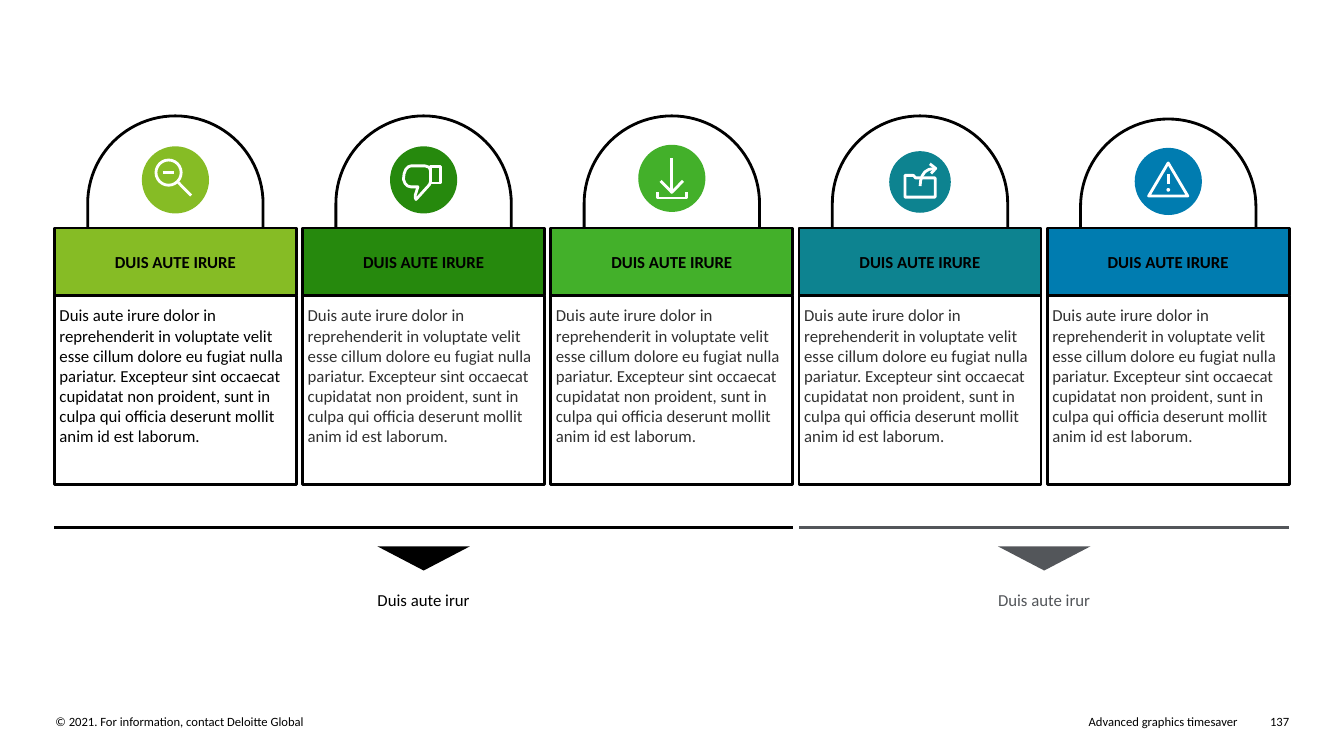
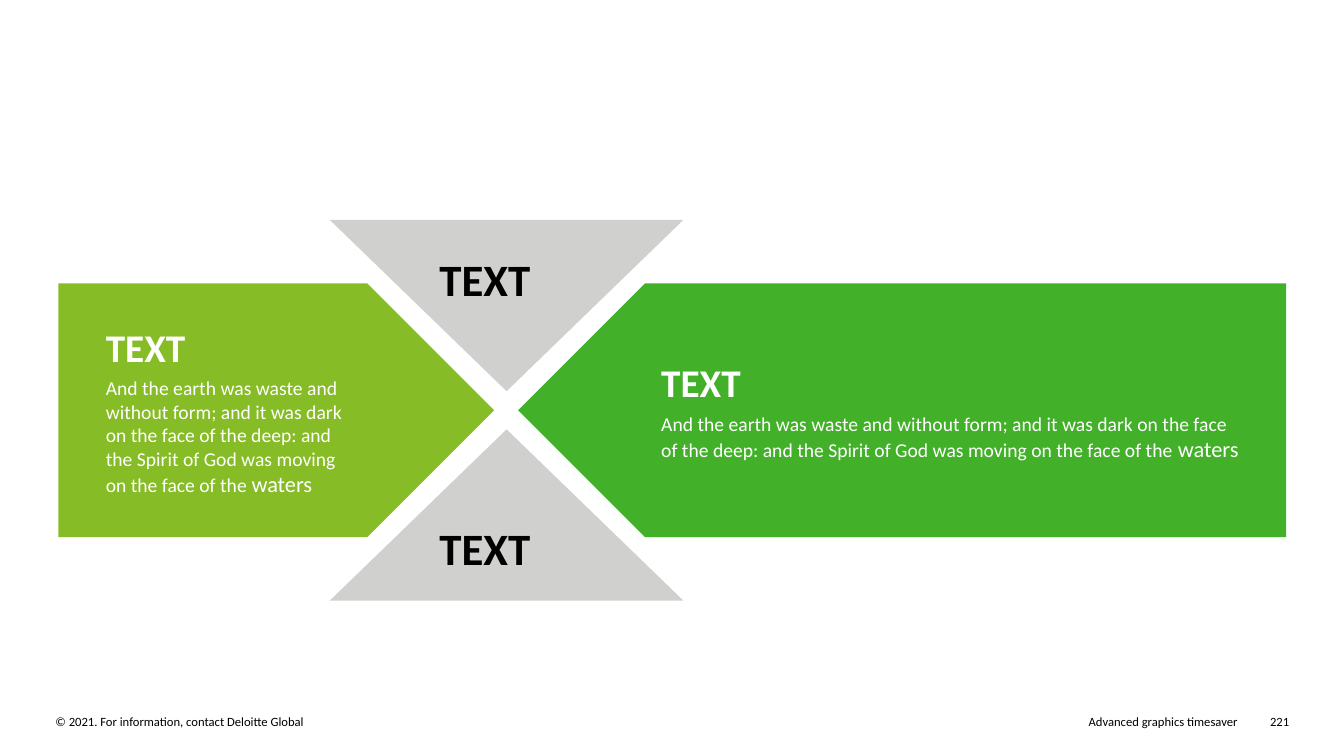
from lxml import etree
from pptx import Presentation
from pptx.dml.color import RGBColor
from pptx.enum.shapes import MSO_CONNECTOR, MSO_SHAPE
from pptx.enum.text import MSO_ANCHOR, PP_ALIGN
from pptx.oxml.ns import qn
from pptx.util import Pt

RECT = MSO_SHAPE.RECTANGLE
ROUND = MSO_SHAPE.ROUNDED_RECTANGLE
OVAL = MSO_SHAPE.OVAL
WEDGE = MSO_SHAPE.ISOSCELES_TRIANGLE
PLATE = MSO_SHAPE.PENTAGON
LINE = MSO_CONNECTOR.STRAIGHT
LEFT, MID, RIGHT = PP_ALIGN.LEFT, PP_ALIGN.CENTER, PP_ALIGN.RIGHT
TOP, HALF = MSO_ANCHOR.TOP, MSO_ANCHOR.MIDDLE

HUES = {
    "black": "000000", "white": "FFFFFF", "ink": "313131", "slate": "53565A",
    "ash": "D0D0CE", "lime": "86BC25", "moss": "26890D", "green": "43B02A",
    "teal": "0D8390", "blue": "007CB0",
}
FACE = "Calibri"
STROKE = 2
WIDE, HIGH = 960, 540

HEAD = "DUIS AUTE IRURE"
BODY = ("Duis aute irure dolor in reprehenderit in voluptate velit esse cillum "
        "dolore eu fugiat nulla pariatur. Excepteur sint occaecat cupidatat non "
        "proident, sunt in culpa qui officia deserunt mollit anim id est laborum.")
NOTE = "Duis aute irur"
VERSE = ("And the earth was waste and without form; and it was dark on the face of "
         "the deep: and the Spirit of God was moving on the face of the ")

LENS = {
    "rings": [(-4.9, -5.2, 9)],
    "paths": [[(-9, -5.2), (-0.8, -5.2)], [(2, 1.8), (11.2, 11.2)]],
}
THUMB = {
    "loops": [
        [(1, -10), (-9, -10), (-11, -9.3), (-12.7, -7.5), (-13.9, -4.5),
         (-14.4, -0.4), (-13.2, 2.6), (-11.3, 4.4), (-9, 5), (-4, 5),
         (-6, 11), (-6, 12.6), (-5.4, 14), (4.3, 3.3), (5, 1),
         (5, -6.5), (4, -9)],
        [(5, -9.4), (11.8, -9.4), (11.8, 2.2), (5, 2.2)],
    ],
}
LOAD = {
    "paths": [
        [(0, -14.4), (0, 10)],
        [(-8, 1.8), (0, 10), (8, 1.8)],
        [(-10.2, 10), (-10.2, 14), (10.2, 14), (10.2, 10)],
    ],
}
SHARE = {
    "loops": [[(-10.8, -4.7), (-4.7, -4.7), (-3.2, -2.9), (10.8, -2.9),
               (10.8, 10.8), (-10.8, 10.8)]],
    "paths": [
        [(0, 2.9), (0.4, -1), (1.5, -4.4), (3.4, -7.2), (6.3, -9), (10.8, -9.7)],
        [(7, -13), (11.2, -9.7), (7.9, -6.1)],
    ],
}
ALERT = {
    "rings": [(0, 6, 0.3)],
    "loops": [[(-14, 10.4), (0, -13.2), (14, 10.4)]],
    "paths": [[(0, -5), (0, 2.2)]],
}

CARDS = [
    {"hue": "lime", "ink": "black", "icon": LENS, "drop": 45.7, "size": 48},
    {"hue": "moss", "ink": "ink", "icon": THUMB, "drop": 45.7, "size": 48},
    {"hue": "green", "ink": "ink", "icon": LOAD, "drop": 44.6, "size": 48},
    {"hue": "teal", "ink": "ink", "icon": SHARE, "drop": 47.2, "size": 44},
    {"hue": "blue", "ink": "ink", "icon": ALERT, "drop": 46.8, "size": 48,
     "sink": 2.2},
]


def tint(name):
    return RGBColor.from_string(HUES[name])


def apply(thing, values):
    for key, value in values.items():
        setattr(thing, key, value)


def paint(shape, fill=None, line=None):
    shape.shadow.inherit = False
    if fill:
        shape.fill.solid()
        shape.fill.fore_color.rgb = tint(fill)
    else:
        shape.fill.background()
    if line:
        shape.line.color.rgb = tint(line)
        shape.line.width = Pt(STROKE)
    else:
        shape.line.fill.background()
    return shape


def draw(slide, kind, box, fill=None, line=None):
    shape = slide.shapes.add_shape(kind, *map(Pt, box))
    return paint(shape, fill, line)


def rule(slide, start, end, hue, width=STROKE):
    line = slide.shapes.add_connector(LINE, *map(Pt, (*start, *end)))
    line.line.color.rgb = tint(hue)
    line.line.width = Pt(width)
    etree.SubElement(line.element.spPr, qn("a:effectLst"))


def trace(slide, points, close):
    spots = [(Pt(x), Pt(y)) for x, y in points]
    pen = slide.shapes.build_freeform(*spots[0])
    pen.add_line_segments(spots[1:], close=close)
    paint(pen.convert_to_shape(), line="white")


def write(shape, paras, hue, pads=(0, 0, 0, 0), anchor=TOP, **style):
    frame = shape.text_frame
    sides = ("margin_left", "margin_top", "margin_right", "margin_bottom")
    apply(frame, {"word_wrap": True, "vertical_anchor": anchor,
                  **{side: Pt(pad) for side, pad in zip(sides, pads)}})
    for at, runs in enumerate(paras):
        para = frame.add_paragraph() if at else frame.paragraphs[0]
        values = {"alignment": LEFT, **style}
        if at == 0:
            values.pop("space_before", None)
        apply(para, values)
        for text, size, bold in runs:
            run = para.add_run()
            run.text = text
            apply(run.font, {"name": FACE, "size": Pt(size), "bold": bold})
            run.font.color.rgb = tint(hue)


def label(slide, box, text, size, hue="black", bold=False, pads=(0, 0, 0, 0), **style):
    shape = slide.shapes.add_textbox(*map(Pt, box))
    write(shape, [[(text, size, bold)]], hue, pads, **style)


def footer(slide, box, number):
    x, y, w, h = box
    parts = [
        (0, 422, "© 2021. For information, contact Deloitte Global", LEFT),
        (w - 422, 385, "Advanced graphics timesaver", RIGHT),
        (w - 24.5, 24.5, number, RIGHT),
    ]
    for shift, width, text, side in parts:
        label(slide, (x + shift, y, width, h), text, 9, alignment=side)


def icon(slide, x, y, card):
    size = card["size"]
    draw(slide, OVAL, (x - size / 2, y - size / 2, size, size), card["hue"])
    marks = card["icon"]
    for dx, dy, r in marks.get("rings", []):
        draw(slide, OVAL, (x + dx - r, y + dy - r, 2 * r, 2 * r), line="white")
    for key in ("loops", "paths"):
        for points in marks.get(key, []):
            spots = [(x + dx, y + dy) for dx, dy in points]
            if len(spots) == 2:
                rule(slide, *spots, "white")
            else:
                trace(slide, spots, key == "loops")


def column(slide, box, card):
    x, y, w, h = box
    dome, top, bar = 125.3, 80, 48
    draw(slide, ROUND, (x + (w - dome) / 2, y + card.get("sink", 0), dome, 162.7),
         line="black").adjustments[0] = 0.5
    body = draw(slide, RECT, (x, y + top + bar, w, h - top - bar), "white", "black")
    write(body, [[(BODY, 12, False)]], card["ink"], (3.6, 7.2, 3.6, 7.2))
    head = draw(slide, RECT, (x, y + top, w, bar), card["hue"], "black")
    write(head, [[(HEAD, 12, True)]], "black", (3.6,) * 4, HALF, alignment=MID)
    icon(slide, x + w / 2, y + card["drop"], card)


def bracket(slide, box, hue, width):
    x, y, w, h = box
    mid = x + w / 2
    rule(slide, (x, y), (x + w, y), hue, width)
    draw(slide, WEDGE, (mid - 33.1, y + 13.6, 66.2, 17.3), hue).rotation = 180
    label(slide, (mid - 50, y + h - 14.4, 100, 14.4), NOTE, 12, hue, alignment=MID)


def pillars(slide, box):
    x, y, w, h = box
    wide = 172.8
    step = (w - wide) / (len(CARDS) - 1)
    for at, card in enumerate(CARDS):
        column(slide, (x + at * step, y, wide, 263.5), card)
    for first, count, hue, width in ((0, 3, "black", 2), (3, 2, "slate", 2.25)):
        span = (count - 1) * step + wide
        bracket(slide, (x + first * step, y + h - 59, span, 59), hue, width)


def arrow(slide, box, hue, flip=False):
    shape = draw(slide, PLATE, box, hue)
    pads = (33.8, 3.6, 56.9, 3.6)
    if flip:
        shape.element.spPr.get_or_add_xfrm().set("flipH", "1")
        pads = (56.9, 3.6, 33.8, 3.6)
    paras = [[("TEXT", 28, True)], [(VERSE, 14, False), ("waters", 16, False)]]
    write(shape, paras, "white", pads, HALF, space_before=Pt(2), space_after=Pt(2))


def cross(slide, box):
    x, y, w, h = box
    band, left, right = 181.4, 311.2, 548.6
    top = y + (h - band) / 2
    arrow(slide, (x, top, left, band), "lime")
    arrow(slide, (x + w - right, top, right, band), "green", True)
    wide, tall = 252.7, 122.4
    side = x + 193.7
    for rise, spin, drop in ((0, 180, 11.5), (h - tall, 0, 54)):
        draw(slide, WEDGE, (side, y + rise, wide, tall), "ash").rotation = spin
        label(slide, (side + 71.3, y + rise + drop, 109.4, 54), "TEXT", 32,
              bold=True, pads=(7.2, 3.6, 7.2, 3.6), line_spacing=1.2,
              space_after=Pt(2))


def main():
    deck = Presentation()
    apply(deck, {"slide_width": Pt(WIDE), "slide_height": Pt(HIGH)})
    pages = [
        (pillars, (38.9, 82.8, 882, 352.8), "137"),
        (cross, (41.8, 157, 876.9, 272.1), "221"),
    ]
    for build, box, number in pages:
        slide = deck.slides.add_slide(deck.slide_layouts[6])
        footer(slide, (39.6, 509.8, 881.3, 10.8), number)
        build(slide, box)
    deck.save("out.pptx")


if __name__ == "__main__":
    main()
